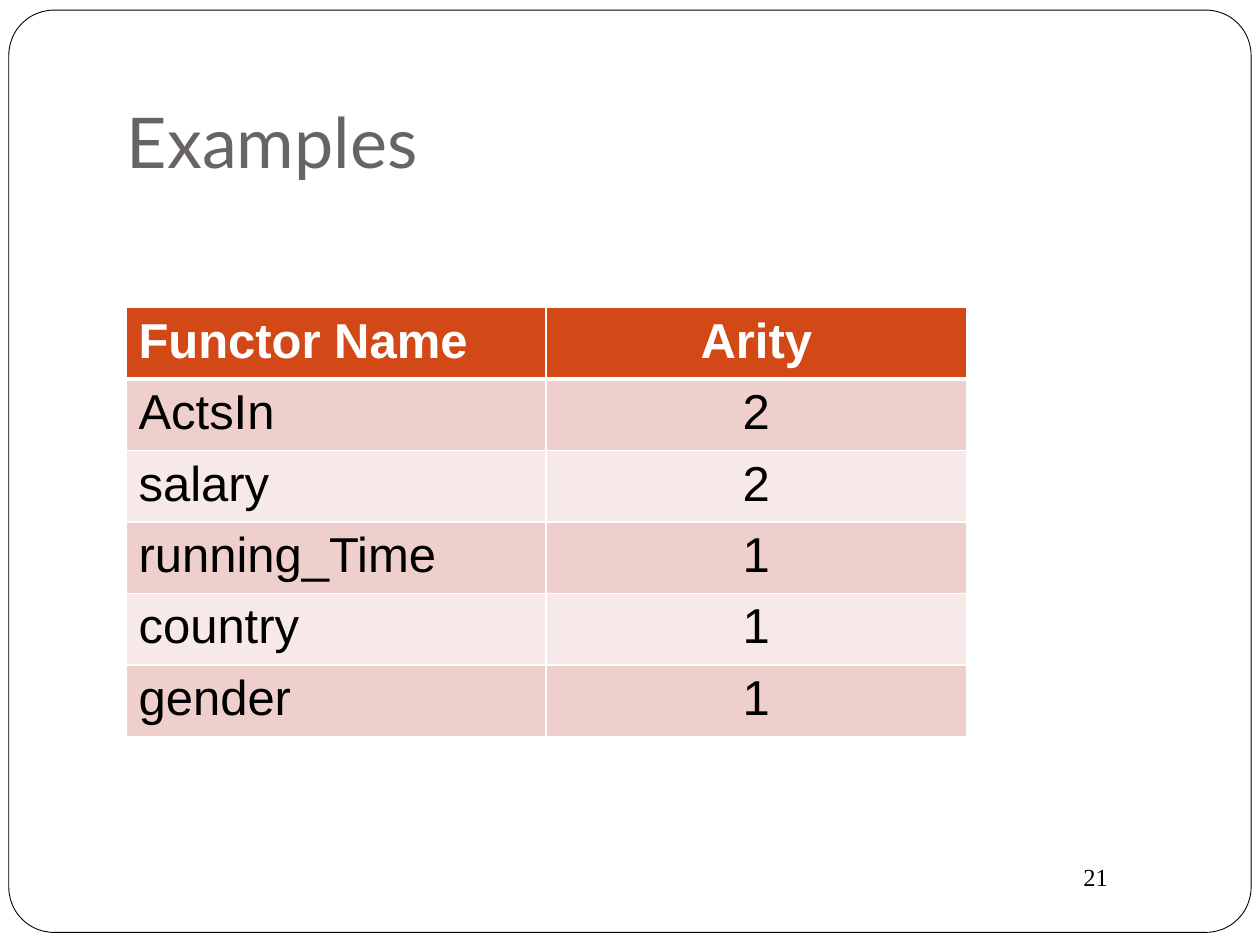
from pptx import Presentation
from pptx.dml.color import RGBColor
from pptx.enum.shapes import MSO_SHAPE
from pptx.enum.text import MSO_ANCHOR, PP_ALIGN
from pptx.oxml.ns import qn
from pptx.util import Inches, Pt
from lxml.etree import SubElement

COLORS = {
    "white": "FFFFFF",
    "black": "000000",
    "title": "696464",
    "header": "D34817",
    "odd": "EFCFCC",
    "even": "F7E9E8",
}
ROWS = [
    ("Functor Name", "Arity"),
    ("ActsIn", "2"),
    ("salary", "2"),
    ("running_Time", "1"),
    ("country", "1"),
    ("gender", "1"),
]


class Deck:
    """Holds the style and the current slide."""

    def __init__(self):
        self.prs = Presentation()
        self.prs.slide_width, self.prs.slide_height = Inches(10), Inches(7.5)
        self.s = self.prs.slides.add_slide(self.prs.slide_layouts[6])

    def color(self, name):
        return RGBColor.from_string(COLORS[name])

    def style(self, p, font, size, color, bold=False):
        for r in p.runs:
            r.font.name, r.font.size, r.font.bold = font, Pt(size), bold
            r.font.color.rgb = self.color(color)

    def frame(self, x, y, w, h, radius):
        sp = self.s.shapes.add_shape(
            MSO_SHAPE.ROUNDED_RECTANGLE, Inches(x), Inches(y), Inches(w), Inches(h))
        sp.adjustments[0] = radius
        sp.shadow.inherit = False
        sp.fill.solid()
        sp.fill.fore_color.rgb = self.color("white")
        sp.line.color.rgb = self.color("black")
        sp.line.width = Pt(0.5)

    def text(self, x, y, w, h, text, font, size, color,
             anchor=MSO_ANCHOR.TOP, bottom=0.05):
        tf = self.s.shapes.add_textbox(
            Inches(x), Inches(y), Inches(w), Inches(h)).text_frame
        tf.word_wrap = True
        tf.vertical_anchor = anchor
        tf.margin_bottom = Inches(bottom)
        tf.text = text
        self.style(tf.paragraphs[0], font, size, color)

    def border(self, cell, side, width):
        ln = SubElement(cell._tc.get_or_add_tcPr(), qn(f"a:ln{side}"), w=str(Pt(width)))
        fill = SubElement(ln, qn("a:solidFill"))
        SubElement(fill, qn("a:srgbClr"), val=COLORS["white"])

    def table(self, x, y, w, row_h, rows):
        table = self.s.shapes.add_table(
            len(rows), len(rows[0]), Inches(x), Inches(y),
            Inches(w), Inches(row_h * len(rows))).table
        for i, row in enumerate(rows):
            head = i == 0
            fill = "header" if head else "odd" if i % 2 else "even"
            for j, value in enumerate(row):
                cell = table.cell(i, j)
                for side in "LRTB":
                    thick = (head and side == "B") or (i == 1 and side == "T")
                    self.border(cell, side, 3 if thick else 1)
                cell.fill.solid()
                cell.fill.fore_color.rgb = self.color(fill)
                cell.text_frame.text = value
                p = cell.text_frame.paragraphs[0]
                p.alignment = PP_ALIGN.CENTER if j else PP_ALIGN.LEFT
                self.style(p, "Arial", 28, "white" if head else "black", head)


def main():
    deck = Deck()
    deck.frame(0.07, 0.08, 9.86, 7.32, 0.049)
    deck.text(8.5, 6.79, 1, 0.34, "21", "Times New Roman", 14, "black")
    deck.text(0.91, 0.3, 8.5, 1.25, "Examples", "Lato", 40, "title",
              MSO_ANCHOR.BOTTOM, 0.1)
    deck.table(1, 2.44, 6.67, 0.53, ROWS)
    deck.prs.save("out.pptx")


if __name__ == "__main__":
    main()
